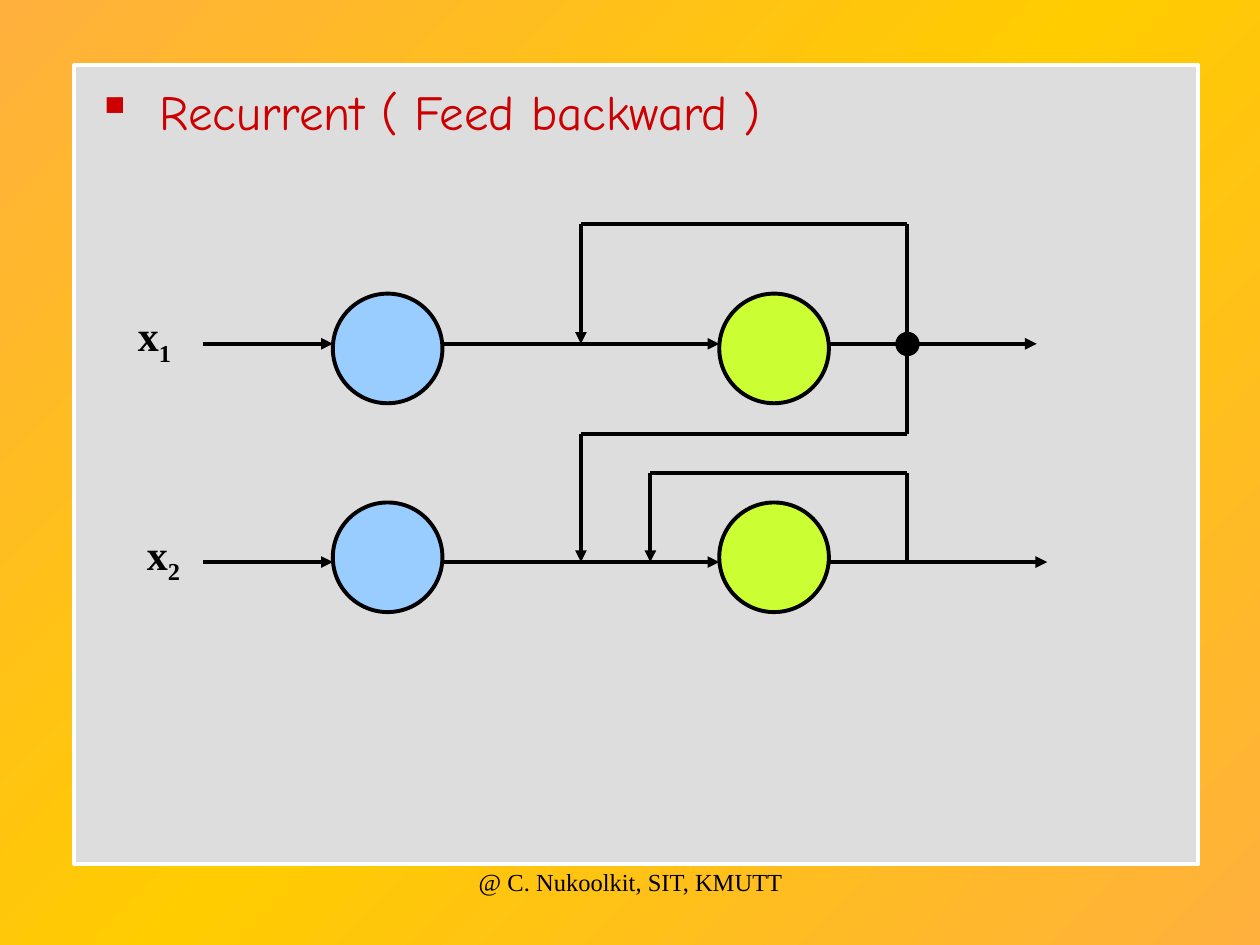
from copy import deepcopy

from lxml import etree
from pptx import Presentation
from pptx import util as u
from pptx.dml.color import RGBColor
from pptx.enum import shapes, text
from pptx.oxml import ns

BLACK = "000000"
RED = "CC0000"
SERIF = "Times New Roman"


def color(value):
    return RGBColor.from_string(value)


def add_child(parent, tag, **attributes):
    return etree.SubElement(parent, ns.qn(tag), **attributes)


class Diagram:
    line_width = u.Pt(2.25)

    def __init__(self, slide):
        self.slide = slide

    def background(self, *stop_colors):
        fill = self.slide.background.fill
        fill.gradient()
        fill.gradient_angle = 315
        stop_list = self.slide.element.find(".//" + ns.qn("a:gsLst"))
        while len(stop_list) < len(stop_colors):
            stop_list.append(deepcopy(stop_list[0]))
        for index, (stop, value) in enumerate(zip(fill.gradient_stops, stop_colors)):
            stop.position = index / (len(stop_colors) - 1)
            stop.color.rgb = color(value)

    def shape(self, kind, left, top, width, height, fill, line=BLACK):
        shape = self.slide.shapes.add_shape(
            kind, u.Cm(left), u.Cm(top), u.Cm(width), u.Cm(height))
        shape.shadow.inherit = False
        shape.fill.solid()
        shape.fill.fore_color.rgb = color(fill)
        shape.line.color.rgb = color(line)
        shape.line.width = self.line_width

    def circle(self, left, top, size, fill):
        self.shape(shapes.MSO_SHAPE.OVAL, left, top, size, size, fill)

    def line(self, start, end, arrow=False):
        connector = self.slide.shapes.add_connector(
            shapes.MSO_CONNECTOR.STRAIGHT, *map(u.Cm, start + end))
        connector.line.color.rgb = color(BLACK)
        connector.line.width = self.line_width
        if arrow:
            add_child(connector.line._get_or_add_ln(), "a:tailEnd", type="triangle")
        add_child(connector._element.spPr, "a:effectLst")

    def route(self, *points):
        last = len(points) - 2
        for index, (start, end) in enumerate(zip(points, points[1:])):
            self.line(start, end, arrow=index == last)

    def text(self, left, top, width, height, words, size, font=SERIF,
             fill=BLACK, bold=False, align=text.PP_ALIGN.CENTER):
        box = self.slide.shapes.add_textbox(
            u.Cm(left), u.Cm(top), u.Cm(width), u.Cm(height))
        box.text_frame.word_wrap = True
        para = box.text_frame.paragraphs[0]
        para.text = words
        para.alignment = align
        self.style(para.runs[0], size, font, fill, bold)
        return para

    def style(self, span, size, font, fill, bold):
        span.font.size = u.Pt(size)
        span.font.name = font
        span.font.bold = bold
        span.font.color.rgb = color(fill)

    def heading(self, left, top, width, height, words):
        para = self.text(left, top, width, height, words, 28, "Comic Neue",
                         RED, align=text.PP_ALIGN.LEFT)
        properties = para._p.get_or_add_pPr()
        indent = u.Cm(1.27)
        properties.set("marL", str(indent))
        properties.set("indent", str(-indent))
        bullet_color = add_child(properties, "a:buClr")
        add_child(bullet_color, "a:srgbClr", val=RED)
        add_child(properties, "a:buChar", char="▪")

    def input_label(self, left, top, number):
        para = self.text(left, top, 2.01, 1.42, "x", 24, bold=True)
        span = para.add_run()
        span.text = number
        self.style(span, 24, SERIF, BLACK, True)
        span.font._element.set("baseline", "-25000")


def main():
    deck = Presentation()
    deck.slide_width, deck.slide_height = u.Cm(25.4), u.Cm(19.05)
    diagram = Diagram(deck.slides.add_slide(deck.slide_layouts[6]))
    diagram.background("FFB03D", "FFCC00", "FFB03D")
    diagram.shape(shapes.MSO_SHAPE.RECTANGLE, 1.5, 1.32, 22.66, 16.1,
                  "DDDDDD", "FFFFFF")
    diagram.heading(1.7, 1.52, 22.66, 1.45, "Recurrent ( Feed backward )")

    input_left, output_left, node_size = 6.71, 14.5, 2.21
    upper, lower = 6.93, 11.33
    for node_top, axis, output_end in ((5.92, upper, 20.9), (10.13, lower, 21.11)):
        diagram.circle(input_left, node_top, node_size, "99CCFF")
        diagram.circle(output_left, node_top, node_size, "CCFF33")
        for start, end in ((4.09, input_left),
                           (input_left + node_size, output_left),
                           (output_left + node_size, output_end)):
            diagram.line((start, axis), (end, axis), arrow=True)

    branch, shared, inner = 18.29, 11.71, 13.11
    for start, level, target, end in ((upper, 4.52, shared, upper),
                                      (upper, 8.74, shared, lower),
                                      (lower, 9.53, inner, lower)):
        diagram.route((branch, start), (branch, level), (target, level), (target, end))

    diagram.circle(18.09, 6.73, 0.41, BLACK)
    diagram.input_label(2.11, 6.12, "1")
    diagram.input_label(2.29, 10.52, "2")
    diagram.text(8.69, 17.35, 8.05, 1.27, "@ C. Nukoolkit, SIT, KMUTT", 14)
    deck.save("out.pptx")


if __name__ == "__main__":
    main()
